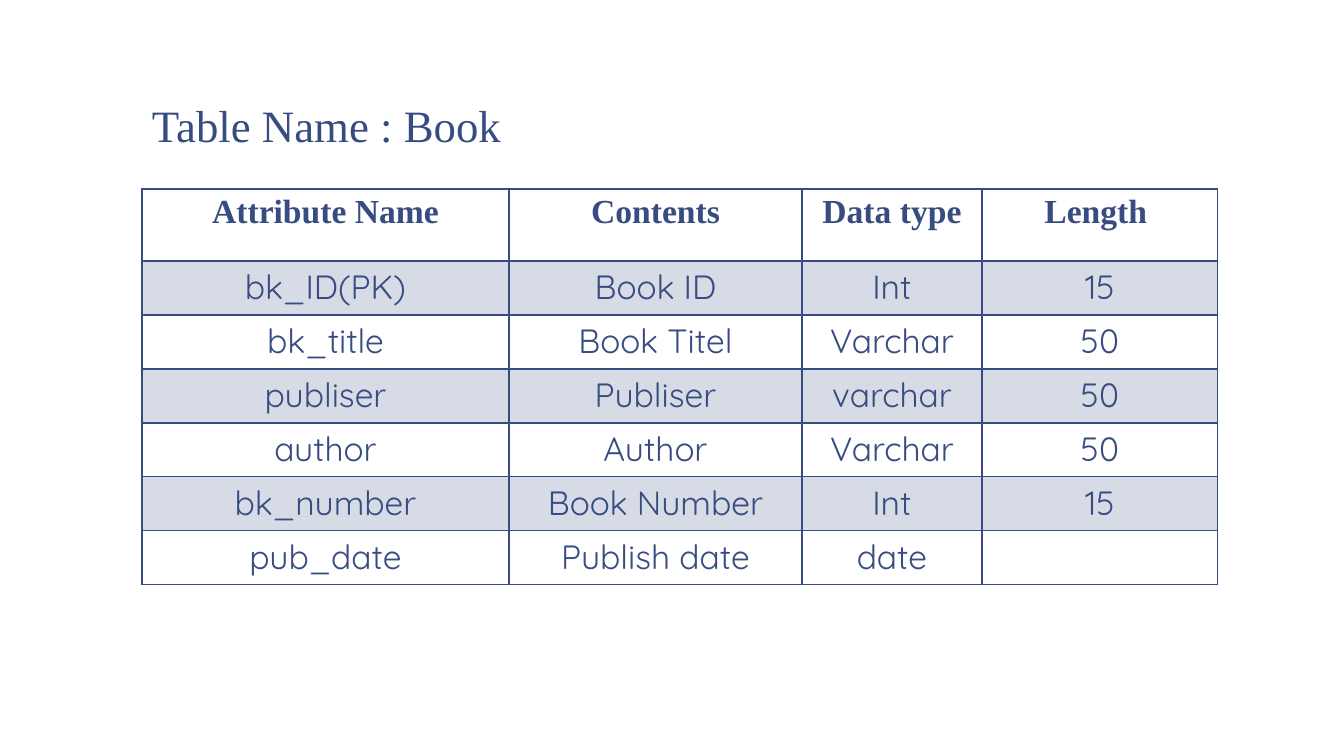
import pptx
import pptx.dml.color
import pptx.enum.text
import pptx.oxml
import pptx.oxml.ns
import pptx.util

NAVY = pptx.dml.color.RGBColor(0x37, 0x4C, 0x81)
EMU_PER_PIXEL = 914400 / 100.8
SERIF = "Times New Roman"
SANS = "Quicksand"
BAND_OPACITY = 20

COLUMN_WIDTHS = [367, 293, 180, 236]
HEADER_HEIGHT = 72
ROW_HEIGHT = 54
BOOK_ROWS = [
    ["Attribute Name", "Contents", "Data type", "Length "],
    ["bk_ID(PK)", "Book ID", "Int", "15"],
    ["bk_title", "Book Titel", "Varchar", "50"],
    ["publiser", "Publiser", "varchar", "50"],
    ["author", "Author", "Varchar", "50"],
    ["bk_number", "Book Number", "Int", "15"],
    ["pub_date", "Publish date", "date", ""],
]


def pixels(length):
    """Turn pixels into EMU."""
    return pptx.util.Emu(round(length * EMU_PER_PIXEL))


class SlideBuilder:
    """Hold the style and the current slide."""

    def __init__(self, slide, color):
        """Remember the slide and its single ink colour."""
        self.slide = slide
        self.color = color

    def run(self, paragraph, text, size, font, bold=False):
        """Add one styled run to a paragraph."""
        run = paragraph.add_run()
        run.text = text
        run.font.size = pptx.util.Pt(size)
        run.font.name = font
        run.font.bold = bold
        run.font.color.rgb = self.color

    def title(self, text, left, top, width, height):
        """Add the heading above the table."""
        shape = self.slide.shapes.add_textbox(*map(pixels, (left, top, width, height)))
        shape.text_frame.word_wrap = False
        shape.text_frame.auto_size = pptx.enum.text.MSO_AUTO_SIZE.SHAPE_TO_FIT_TEXT
        self.run(shape.text_frame.paragraphs[0], text, 32, SERIF)

    def borders(self, cell, top, bottom):
        """Draw the four cell borders, with widths in points."""
        properties = cell._tc.get_or_add_tcPr()
        for side, width in (("L", 1), ("R", 1), ("T", top), ("B", bottom)):
            properties.append(pptx.oxml.parse_xml(
                f'<a:ln{side} {pptx.oxml.ns.nsdecls("a")} w="{pptx.util.Pt(width)}">'
                f'<a:solidFill><a:srgbClr val="{self.color}"/></a:solidFill></a:ln{side}>'))

    def band(self, cell):
        """Fill a cell with a transparent tint of the ink colour."""
        cell.fill.solid()
        cell.fill.fore_color.rgb = self.color
        color = cell._tc.tcPr.xpath("a:solidFill/a:srgbClr")[0]
        color.append(pptx.oxml.parse_xml(
            f'<a:alpha {pptx.oxml.ns.nsdecls("a")} val="{BAND_OPACITY * 1000}"/>'))

    def cell(self, cell, text, row_index):
        """Style one cell according to its row."""
        header = row_index == 0
        self.borders(cell, 2 if row_index == 1 else 1, 2 if header else 1)
        if row_index % 2:
            self.band(cell)
        else:
            cell.fill.background()
        paragraph = cell.text_frame.paragraphs[0]
        paragraph.alignment = pptx.enum.text.PP_ALIGN.CENTER
        if text:
            self.run(paragraph, text, 24, SERIF if header else SANS, header)

    def table(self, rows, left, top, widths, heights):
        """Add a bordered table with a header and tinted odd rows."""
        table = self.slide.shapes.add_table(
            len(rows), len(widths), pixels(left), pixels(top),
            pixels(sum(widths)), pixels(sum(heights))).table
        table.first_row = table.horz_banding = False
        for column, width in zip(table.columns, widths):
            column.width = pixels(width)
        for row_index, (row, height) in enumerate(zip(table.rows, heights)):
            row.height = pixels(height)
            for cell, text in zip(row.cells, rows[row_index]):
                self.cell(cell, text, row_index)


def main():
    """Build and save the slide."""
    presentation = pptx.Presentation()
    presentation.slide_width = pixels(1344)
    presentation.slide_height = pixels(756)
    slide = presentation.slides.add_slide(presentation.slide_layouts[6])
    builder = SlideBuilder(slide, NAVY)
    heights = [HEADER_HEIGHT] + [ROW_HEIGHT] * (len(BOOK_ROWS) - 1)
    builder.table(BOOK_ROWS, 142, 189, COLUMN_WIDTHS, heights)
    builder.title("Table Name : Book", 142, 93, 373, 64)
    presentation.save("out.pptx")


main()
